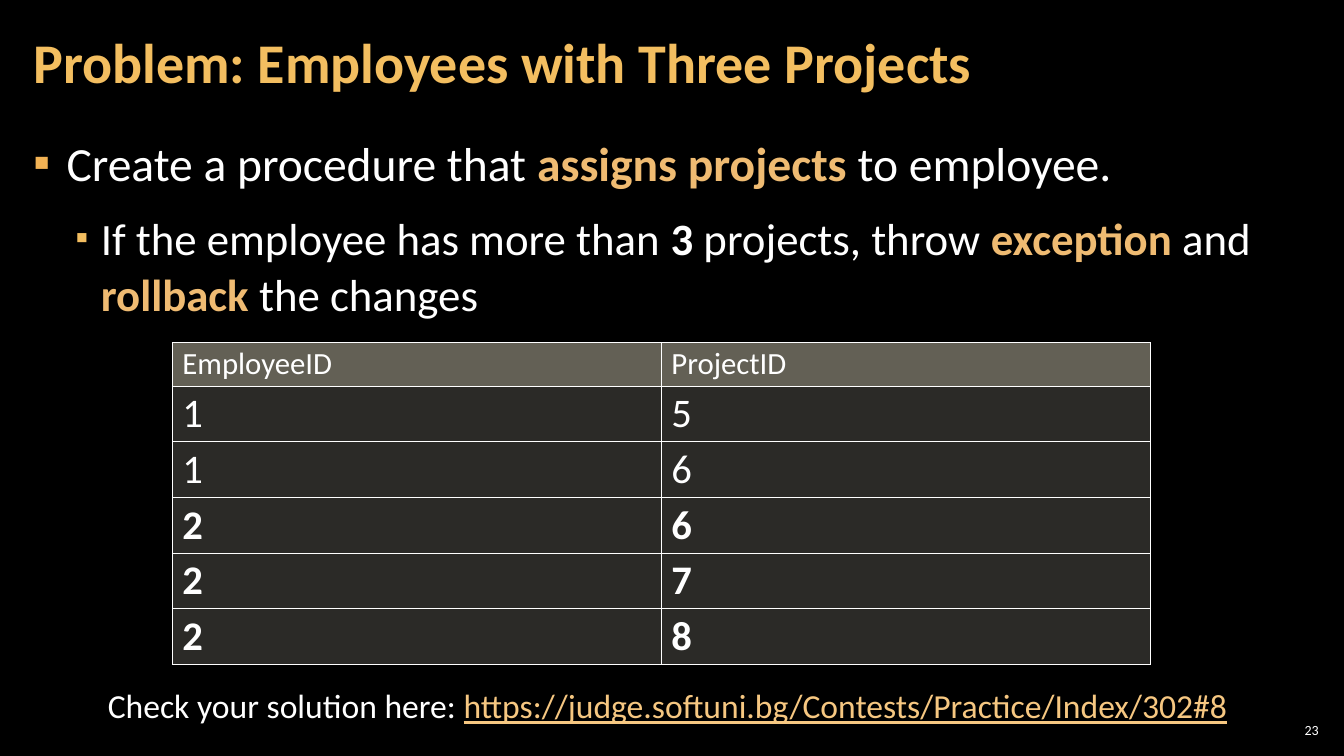
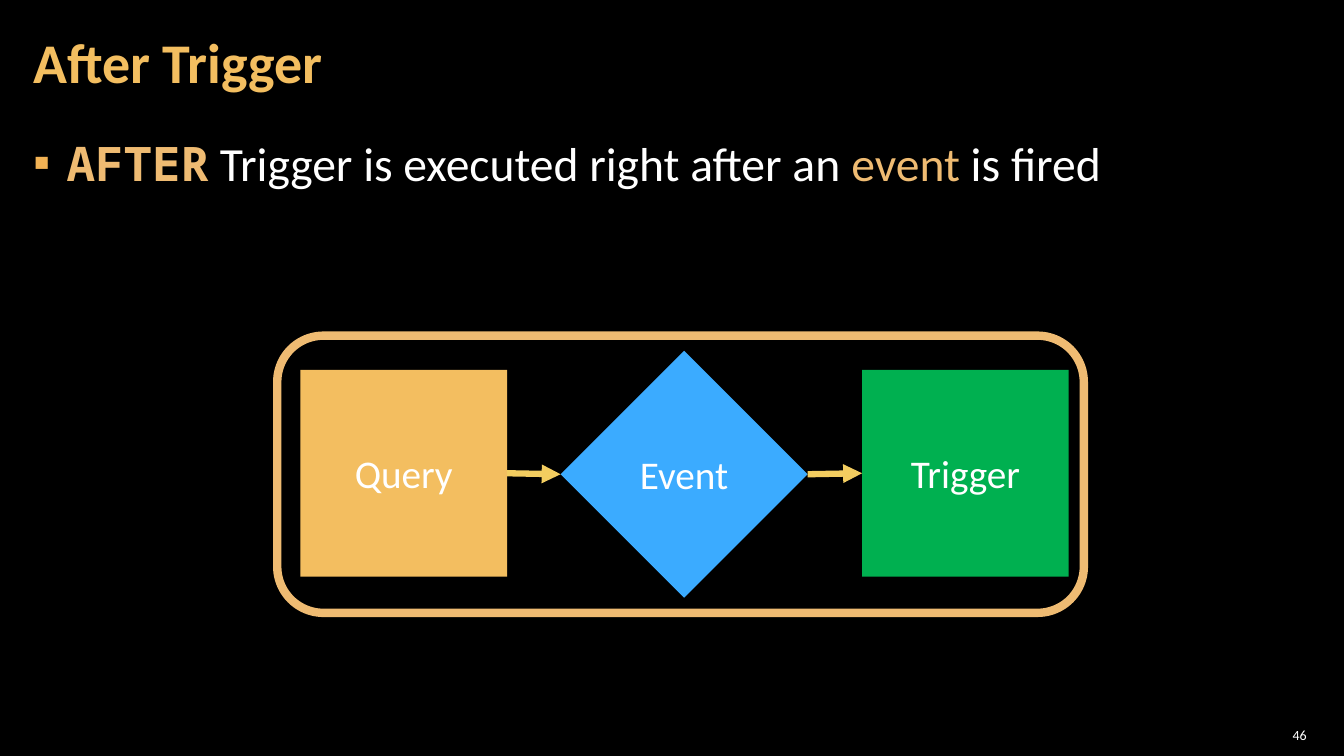
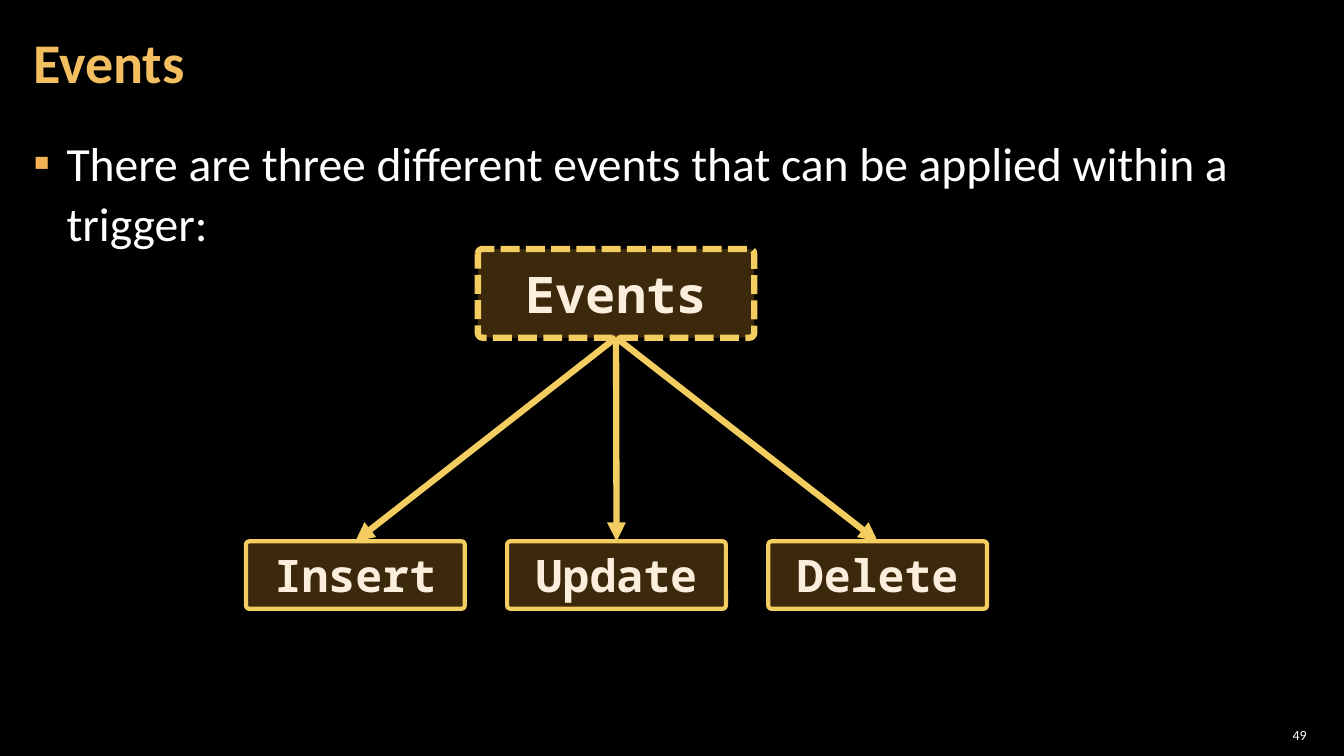
from lxml.etree import SubElement
from pptx import Presentation
from pptx.dml.color import RGBColor
from pptx.enum.dml import MSO_LINE
from pptx.enum.shapes import MSO_CONNECTOR, MSO_SHAPE
from pptx.enum.text import MSO_ANCHOR, MSO_AUTO_SIZE, PP_ALIGN
from pptx.oxml.ns import qn
from pptx.util import Inches, Pt

WHITE, BLACK = "FFFFFF", "000000"
GOLD, ORANGE, YELLOW = "F3BE60", "EFBB72", "F3CD60"
AMBER, CREAM, LINK = "F0A22E", "FBEEDC", "F6C781"
BLUE, GREEN = "3BABFF", "00B050"
TEXT_FONT, CODE_FONT = "Calibri", "Noto Sans Mono"

BULLETS = (
    {"size": 34, "margin": 0.33, "hanging": 0.33, "color": "F2B254", "scale": 100},
    {"size": 32, "margin": 0.67, "hanging": 0.25, "color": GOLD, "scale": 80},
)
HIGHLIGHT = {"color": ORANGE, "bold": True}


def rgb(value):
    return RGBColor.from_string(value)


def set_attributes(target, values):
    for name, value in values.items():
        setattr(target, name, value)


def set_opacity(properties, percent):
    color = properties.find(qn("a:solidFill"))[0]
    SubElement(color, qn("a:alpha"), val=str(percent * 1000))


class Deck:
    def __init__(self):
        self.presentation = Presentation()
        self.presentation.slide_width = Inches(13.33)
        self.presentation.slide_height = Inches(7.5)
        fill = self.presentation.slide_master.background.fill
        fill.solid()
        fill.fore_color.rgb = rgb(BLACK)
        self.slide = None

    def add_run(self, paragraph, text, size, color=WHITE, font=TEXT_FONT, bold=False, underline=False):
        run = paragraph.add_run()
        run.text = text
        set_attributes(run.font, {"name": font, "size": Pt(size), "bold": bold, "underline": underline})
        run.font.color.rgb = rgb(color)

    def set_frame(self, frame, anchor, horizontal, vertical):
        set_attributes(frame, {
            "word_wrap": True,
            "auto_size": MSO_AUTO_SIZE.NONE,
            "vertical_anchor": anchor,
            "margin_left": Inches(horizontal),
            "margin_right": Inches(horizontal),
            "margin_top": Inches(vertical),
            "margin_bottom": Inches(vertical),
        })

    def place(self, shape, left, top, width, height):
        set_attributes(shape, {
            "left": Inches(left), "top": Inches(top),
            "width": Inches(width), "height": Inches(height),
        })

    def add_slide(self, title, number, number_box=(12.5, 7.17, 0.5, 0.25)):
        self.slide = self.presentation.slides.add_slide(self.presentation.slide_layouts[1])
        shape = self.slide.shapes.title
        self.place(shape, 0.21, 0.04, 10.47, 1.21)
        self.set_frame(shape.text_frame, MSO_ANCHOR.MIDDLE, 0.12, 0.04)
        paragraph = shape.text_frame.paragraphs[0]
        set_attributes(paragraph, {"alignment": PP_ALIGN.LEFT, "line_spacing": 0.9})
        self.add_run(paragraph, title, 40, GOLD, bold=True)
        self.add_text(number_box, [(number, {})], 10, PP_ALIGN.RIGHT, MSO_ANCHOR.MIDDLE, 0.04, 0.04)

    def add_text(self, box, runs, size, alignment, anchor=MSO_ANCHOR.TOP, horizontal=0.1, vertical=0.05):
        shape = self.slide.shapes.add_textbox(*map(Inches, box))
        self.set_frame(shape.text_frame, anchor, horizontal, vertical)
        paragraph = shape.text_frame.paragraphs[0]
        paragraph.alignment = alignment
        for text, style in runs:
            self.add_run(paragraph, text, size, **style)

    def add_bullets(self, *items):
        body = self.slide.placeholders[1]
        self.place(body, 0.21, 1.26, 12.91, 6.09)
        frame = body.text_frame
        self.set_frame(frame, MSO_ANCHOR.TOP, 0.12, 0.04)
        for index, (level, runs) in enumerate(items):
            paragraph = frame.add_paragraph() if index else frame.paragraphs[0]
            bullet = BULLETS[level]
            set_attributes(paragraph, {
                "level": level, "alignment": PP_ALIGN.LEFT, "line_spacing": 1.05,
                "space_before": Pt(6 if index else 0), "space_after": Pt(6),
            })
            properties = paragraph._p.get_or_add_pPr()
            properties.set("marL", str(Inches(bullet["margin"])))
            properties.set("indent", str(-Inches(bullet["hanging"])))
            SubElement(SubElement(properties, qn("a:buClr")), qn("a:srgbClr"), val=bullet["color"])
            SubElement(properties, qn("a:buSzPct"), val=str(bullet["scale"] * 1000))
            SubElement(properties, qn("a:buFont"), typeface=TEXT_FONT)
            SubElement(properties, qn("a:buChar"), char="▪")
            for text, style in runs:
                self.add_run(paragraph, text, bullet["size"], **style)

    def add_shape(self, kind, box, fill=None, opacity=100, line=None, line_width=0, radius=None):
        shape = self.slide.shapes.add_shape(kind, *map(Inches, box))
        shape.shadow.inherit = False
        if radius is not None:
            shape.adjustments[0] = radius
        if fill:
            shape.fill.solid()
            shape.fill.fore_color.rgb = rgb(fill)
            if opacity < 100:
                set_opacity(shape.element.spPr, opacity)
        else:
            shape.fill.background()
        if line:
            shape.line.color.rgb = rgb(line)
            shape.line.width = Pt(line_width)
        else:
            shape.line.fill.background()
        return shape

    def add_label(self, shape, text, size, **style):
        self.set_frame(shape.text_frame, MSO_ANCHOR.MIDDLE, 0.1, 0.05)
        paragraph = shape.text_frame.paragraphs[0]
        paragraph.alignment = PP_ALIGN.CENTER
        self.add_run(paragraph, text, size, **style)

    def add_event_box(self, box, text, size, line_width):
        shape = self.add_shape(MSO_SHAPE.ROUNDED_RECTANGLE, box, AMBER, 25, YELLOW, line_width, 0.05)
        self.add_label(shape, text, size, color=CREAM, font=CODE_FONT, bold=True)
        return shape

    def add_arrow(self, start, start_side, end, end_side):
        connector = self.slide.shapes.add_connector(MSO_CONNECTOR.STRAIGHT, 0, 0, 0, 0)
        connector.begin_connect(start, start_side)
        connector.end_connect(end, end_side)
        connector.line.color.rgb = rgb(YELLOW)
        connector.line.width = Pt(4.5)
        properties = connector.element.spPr
        SubElement(properties.find(qn("a:ln")), qn("a:tailEnd"), type="triangle")
        SubElement(properties, qn("a:effectLst"))

    def add_table(self, left, top, column_width, row_heights, rows, styles):
        column_count = len(rows[0])
        table = self.slide.shapes.add_table(
            len(rows), column_count, Inches(left), Inches(top),
            Inches(column_width * column_count), Inches(sum(row_heights)),
        ).table
        set_attributes(table, {"first_row": False, "horz_banding": False})
        for column in table.columns:
            column.width = Inches(column_width)
        for row, height, values, style in zip(table.rows, row_heights, rows, styles):
            row.height = Inches(height)
            for cell, value in zip(row.cells, values):
                self.fill_cell(cell, value, **style)

    def fill_cell(self, cell, text, fill, opacity, size, bold=False):
        set_attributes(cell, {
            "margin_left": Inches(0.1), "margin_right": Inches(0.1),
            "margin_top": Inches(0.03), "margin_bottom": Inches(0.03),
        })
        properties = cell._tc.get_or_add_tcPr()
        for side in ("lnL", "lnR", "lnT", "lnB"):
            border = SubElement(properties, qn(f"a:{side}"), w=str(Pt(1)))
            SubElement(SubElement(border, qn("a:solidFill")), qn("a:srgbClr"), val=WHITE)
        cell.fill.solid()
        cell.fill.fore_color.rgb = rgb(fill)
        set_opacity(properties, opacity)
        self.add_run(cell.text_frame.paragraphs[0], text, size, bold=bold)


def add_projects_slide(deck):
    deck.add_slide("Problem: Employees with Three Projects", "23", (12.65, 7.14, 0.47, 0.21))
    deck.add_bullets(
        (0, [("Create a procedure that ", {}), ("assigns projects", HIGHLIGHT), (" to employee.", {})]),
        (1, [
            ("If the employee has more than ", {}), ("3", {"bold": True}),
            (" projects, throw ", {}), ("exception", HIGHLIGHT), (" and ", {}),
            ("rollback", HIGHLIGHT), (" the changes", {}),
        ]),
    )
    header = {"fill": "C6C0AA", "opacity": 50, "size": 22}
    plain = {"fill": "D9D5C7", "opacity": 20, "size": 29}
    strong = {**plain, "bold": True}
    rows = [("EmployeeID", "ProjectID"), ("1", "5"), ("1", "6"), ("2", "6"), ("2", "7"), ("2", "8")]
    deck.add_table(1.71, 3.4, 4.85, [0.43] + [0.55] * 5, rows, [header] + [plain] * 2 + [strong] * 3)
    deck.add_text((0.83, 6.75, 11.58, 0.5), [
        ("Check your solution here: ", {}),
        ("https://judge.softuni.bg/Contests/Practice/Index/302#8", {"color": LINK, "underline": True}),
    ], 24, PP_ALIGN.CENTER)


def add_after_trigger_slide(deck):
    deck.add_slide("After Trigger", "46")
    deck.add_bullets((0, [
        ("AFTER", {**HIGHLIGHT, "font": CODE_FONT}),
        (" Trigger is executed right after an ", {}),
        ("event", {"color": ORANGE}), (" is fired", {}),
    ]))
    steps = []
    for text, kind, box, fill in (
        ("Query", MSO_SHAPE.RECTANGLE, (2.98, 3.67, 2.05, 2.05), GOLD),
        ("Event", MSO_SHAPE.DIAMOND, (5.56, 3.48, 2.45, 2.45), BLUE),
        ("Trigger", MSO_SHAPE.RECTANGLE, (8.55, 3.67, 2.05, 2.05), GREEN),
    ):
        step = deck.add_shape(kind, box, fill)
        deck.add_label(step, text, 28)
        steps.append(step)
    for start, end in zip(steps, steps[1:]):
        deck.add_arrow(start, 3, end, 1)
    deck.add_shape(MSO_SHAPE.ROUNDED_RECTANGLE, (2.75, 3.33, 8, 2.75), line=ORANGE, line_width=6)


def add_events_slide(deck):
    deck.add_slide("Events", "49")
    deck.add_bullets((0, [("There are three different events that can be applied within a trigger:", {})]))
    events = deck.add_event_box((4.74, 2.47, 2.74, 0.88), "Events", 36, 4.5)
    events.line.dash_style = MSO_LINE.SQUARE_DOT
    for index, text in enumerate(("Insert", "Update", "Delete")):
        event = deck.add_event_box((2.44 + 2.59 * index, 5.37, 2.17, 0.67), text, 32, 3)
        deck.add_arrow(events, 2, event, 0)


def main():
    deck = Deck()
    add_projects_slide(deck)
    add_after_trigger_slide(deck)
    add_events_slide(deck)
    deck.presentation.save("out.pptx")


if __name__ == "__main__":
    main()
